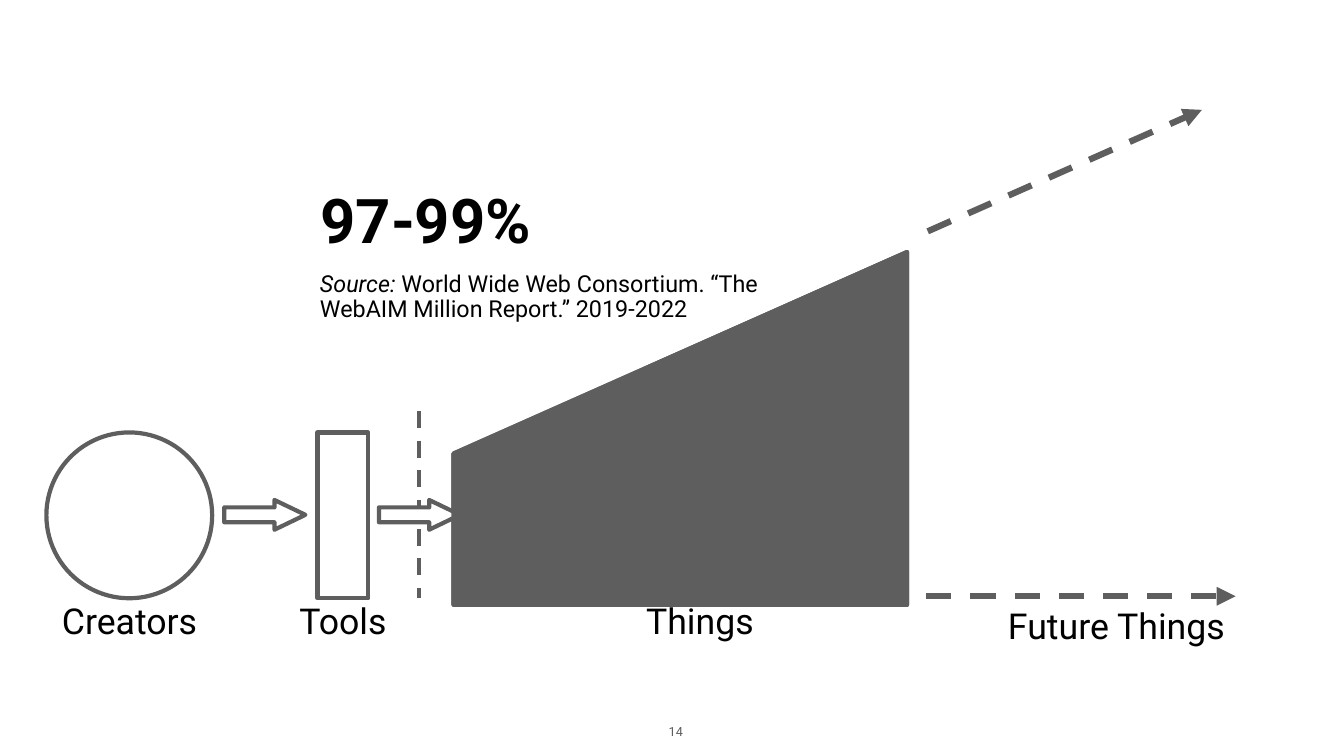
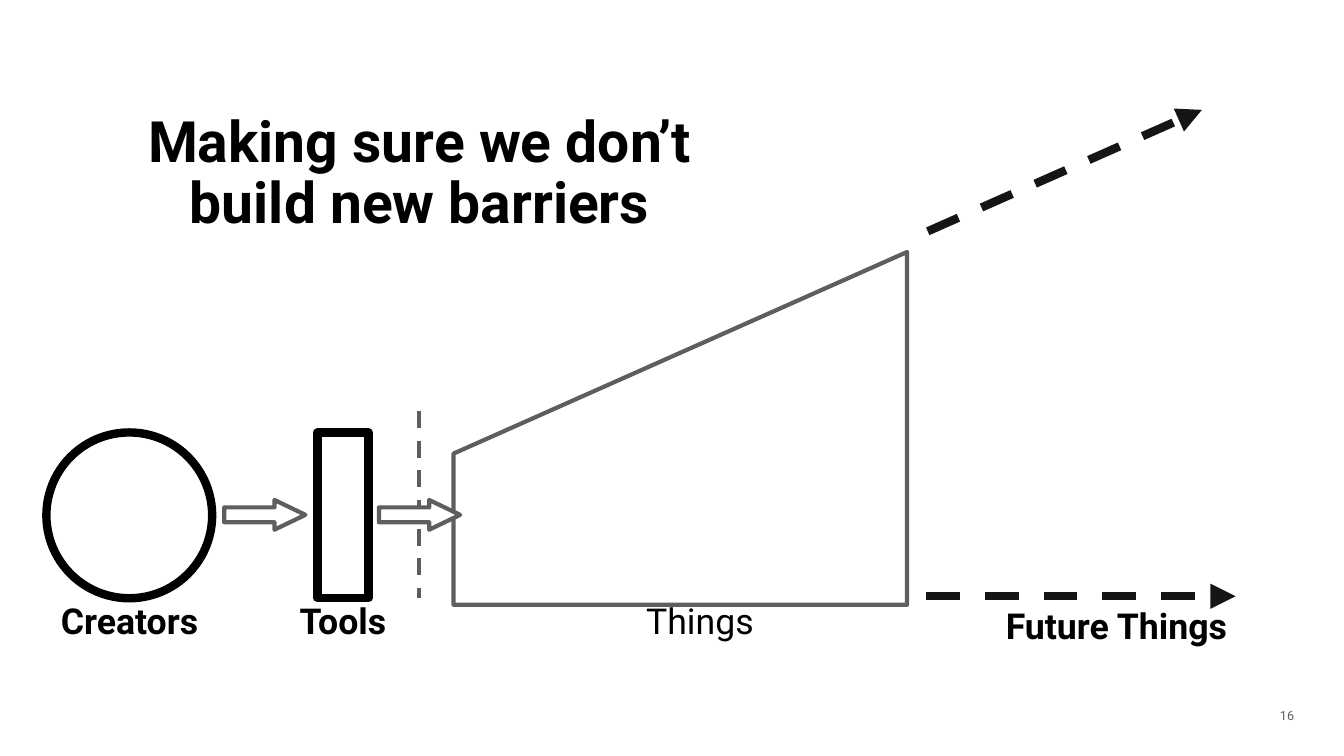
"""Build two slides that show creators, tools, things and future things."""
from dataclasses import dataclass

import pptx
import pptx.dml.color
import pptx.enum.dml
import pptx.enum.shapes
import pptx.enum.text
import pptx.oxml
import pptx.oxml.ns
import pptx.util

Inches = pptx.util.Inches
Pt = pptx.util.Pt
SHAPE = pptx.enum.shapes.MSO_SHAPE
ALIGN = pptx.enum.text.PP_ALIGN
ANCHOR = pptx.enum.text.MSO_ANCHOR

FONT = "Roboto"
BLACK, WHITE, GREY, INK = "000000", "FFFFFF", "5E5E5E", "151515"
THIN, MEDIUM, THICK = 6, 9, 12
LABEL_TOP = 11.92
INSET = 0.06

THINGS_OUTLINE = [(9.38, 8.63), (9.4, 11.87), (18.41, 11.87), (18.41, 4.56)]
THINGS_FILLING = [(9.37, 8.7), (9.39, 11.8), (18.39, 11.8), (18.39, 4.82)]


@dataclass(frozen=True)
class Stroke:
    """Colour and width in points of an outline."""
    color: str
    width: float


@dataclass(frozen=True)
class Label:
    """A one-paragraph text made of (text, italic) runs."""
    runs: tuple[tuple[str, bool], ...]
    box: tuple[float, float, float, float]
    size: float
    bold: bool = False
    align: ALIGN = ALIGN.CENTER
    spacing: float = 0.9
    color: str = BLACK
    inset: float = INSET


@dataclass(frozen=True)
class Look:
    """What differs in the diagram between slides."""
    makers: Stroke
    future: Stroke
    bold: bool


LINE = Stroke(GREY, THIN)
PLAIN = Look(LINE, Stroke(GREY, MEDIUM), False)
EMPHASISED = Look(Stroke(BLACK, THICK), Stroke(INK, THICK), True)


def rgb(color: str) -> pptx.dml.color.RGBColor:
    """Turn a hex string into a colour."""
    return pptx.dml.color.RGBColor.from_string(color)


def set_stroke(line, stroke: Stroke) -> None:
    """Apply a stroke to a line format."""
    line.color.rgb = rgb(stroke.color)
    line.width = Pt(stroke.width)


def paint(shape, fill: str, stroke: Stroke) -> None:
    """Give a shape its fill and outline without a shadow."""
    shape.shadow.inherit = False
    shape.fill.solid()
    shape.fill.fore_color.rgb = rgb(fill)
    set_stroke(shape.line, stroke)


def add_box(s, kind: SHAPE, box: tuple, stroke: Stroke):
    """Draw a white preset shape."""
    shape = s.shapes.add_shape(kind, *map(Inches, box))
    paint(shape, WHITE, stroke)
    return shape


def add_polygon(s, points: list, fill: str) -> None:
    """Draw a closed outline through points given in inches."""
    builder = s.shapes.build_freeform(*points[0], scale=Inches(1))
    builder.add_line_segments(points[1:], close=True)
    paint(builder.convert_to_shape(), fill, LINE)


def add_dashes(s, start: tuple, end: tuple, stroke: Stroke, arrow: bool = False) -> None:
    """Draw a dashed line, with an arrowhead at its end if asked."""
    line = s.shapes.add_connector(pptx.enum.shapes.MSO_CONNECTOR.STRAIGHT,
                                  *map(Inches, start + end))
    set_stroke(line.line, stroke)
    line.line.dash_style = pptx.enum.dml.MSO_LINE.DASH
    pr = line._element.spPr
    if arrow:
        ln = pr.find(pptx.oxml.ns.qn("a:ln"))
        ln.append(pptx.oxml.parse_xml(
            f'<a:tailEnd {pptx.oxml.ns.nsdecls("a")} type="triangle"/>'))
    pr.append(pptx.oxml.parse_xml(f'<a:effectLst {pptx.oxml.ns.nsdecls("a")}/>'))


def add_label(s, label: Label):
    """Write a label and return its text frame."""
    tf = s.shapes.add_textbox(*map(Inches, label.box)).text_frame
    tf.word_wrap = True
    tf.margin_left = tf.margin_right = Inches(label.inset)
    tf.margin_top = tf.margin_bottom = Inches(label.inset)
    p = tf.paragraphs[0]
    p.alignment, p.line_spacing = label.align, label.spacing
    p.font.name, p.font.size, p.font.bold = FONT, Pt(label.size), label.bold
    p.font.color.rgb = rgb(label.color)
    for text, italic in label.runs:
        r = p.add_run()
        r.text = text
        if italic:
            r.font.italic = True
    return tf


def add_number(s, number: str, left: float, anchor: ANCHOR, after: float) -> None:
    """Write the page number."""
    tf = add_label(s, Label(((number, False),), (left, 14.02, 0.76, 0.7), 18,
                            align=ALIGN.LEFT, color=GREY))
    tf.margin_left, tf.margin_right = Inches(INSET + 0.25), 0
    tf.vertical_anchor = anchor
    tf.paragraphs[0].space_after = Pt(after)


def add_diagram(s, look: Look) -> None:
    """Draw the flow from creators to future things."""
    add_box(s, SHAPE.OVAL, (0.92, 8.58, 3.29, 3.29), look.makers)
    add_box(s, SHAPE.RECTANGLE, (6.3, 8.58, 1.01, 3.29), look.makers)
    add_polygon(s, THINGS_OUTLINE, WHITE)
    add_dashes(s, (8.32, 8.16), (8.32, 11.87), LINE)
    for left in (4.45, 7.52):
        arrow = add_box(s, SHAPE.RIGHT_ARROW, (left, 9.92, 1.61, 0.59), LINE)
        arrow.adjustments[1] = 1.04
    add_dashes(s, (18.41, 4.59), (23.85, 2.18), look.future, arrow=True)
    add_dashes(s, (18.38, 11.83), (24.52, 11.83), look.future, arrow=True)
    for text, left, width, bold, size, spacing in (
            ("Creators", 0.63, 3.88, look.bold, 50.9, 0.9),
            ("Tools", 4.3, 5.01, look.bold, 50.9, 0.9),
            ("Things", 9.51, 8.76, False, 50.9, 0.9),
            ("Future Things", 17.95, 8.41, look.bold, 51, 1.0)):
        add_label(s, Label(((text, False),), (left, LABEL_TOP, width, 1.15),
                           size, bold, spacing=spacing))


def build_share(s) -> None:
    """Show the share of things that have barriers."""
    add_diagram(s, PLAIN)
    add_label(s, Label((("97-99%", False),), (6.3, 3.55, 9.64, 2.99), 88, True,
                       ALIGN.LEFT, 1.0))
    add_label(s, Label(
        (("Source: ", True),
         ("World Wide Web Consortium. “The WebAIM Million Report.” 2019-2022", False)),
        (6.3, 5.35, 9.1, 1.16), 33.3, align=ALIGN.LEFT, inset=0.05))
    add_number(s, "14", 12.96, ANCHOR.BOTTOM, 6)
    add_polygon(s, THINGS_FILLING, GREY)


def build_prevention(s) -> None:
    """Stress the makers and the future."""
    add_diagram(s, EMPHASISED)
    add_label(s, Label((("Making sure we don’t build new barriers", False),),
                       (1.63, 2.18, 13.39, 2.99), 81.4, True))
    add_number(s, "16", 25.09, ANCHOR.TOP, 0)


def main() -> None:
    """Build and save the slides."""
    prs = pptx.Presentation()
    prs.slide_width, prs.slide_height = Inches(26.67), Inches(15)
    for build in (build_share, build_prevention):
        build(prs.slides.add_slide(prs.slide_layouts[6]))
    prs.save("out.pptx")


if __name__ == "__main__":
    main()
